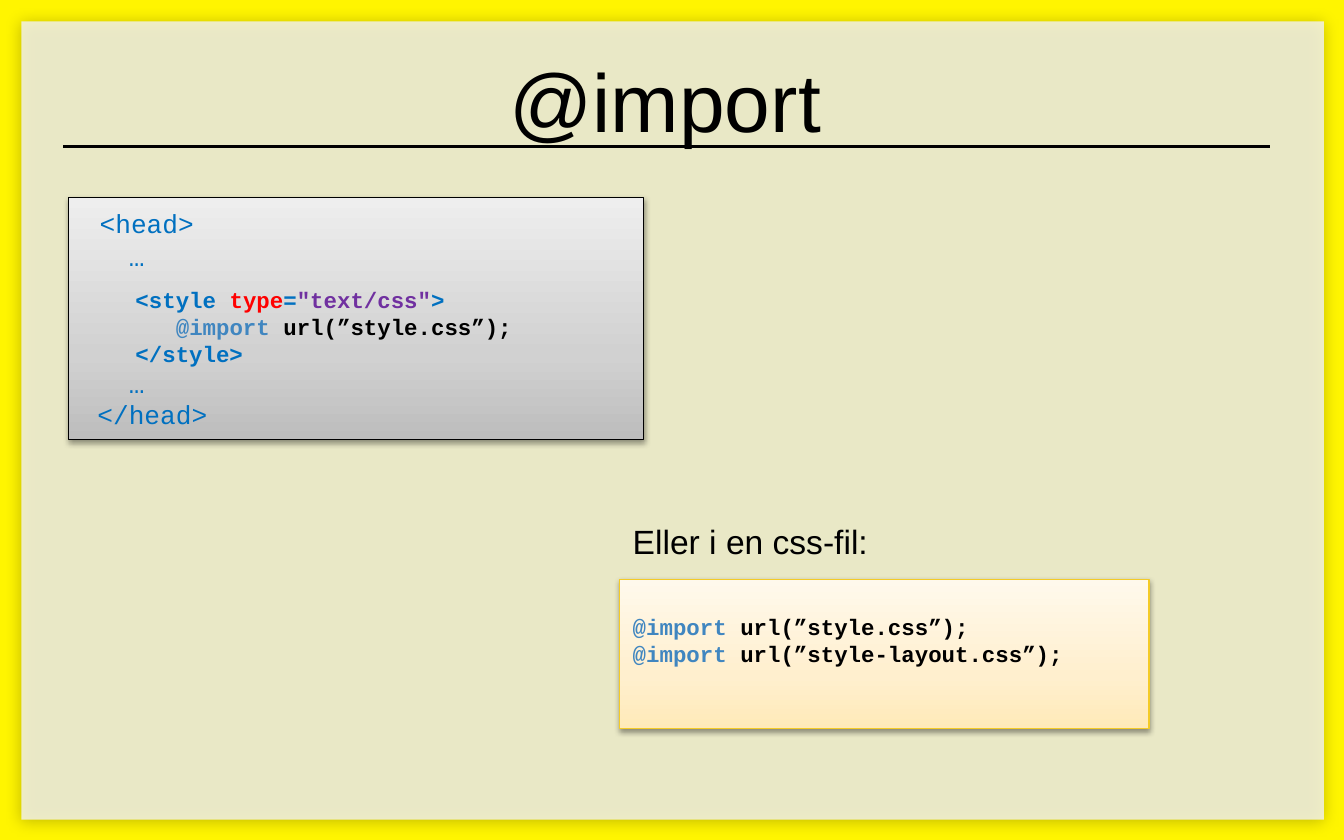
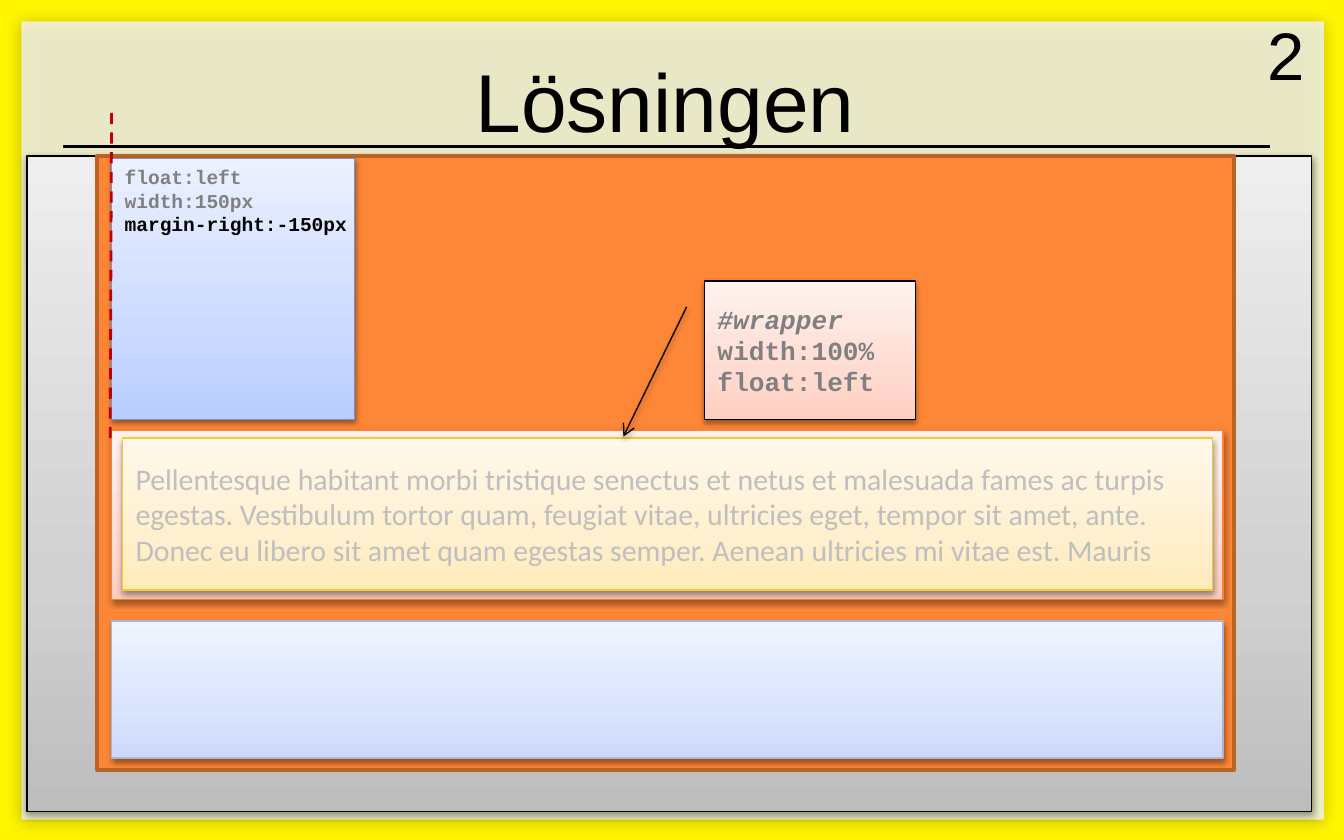
import copy
from dataclasses import dataclass
from typing import Optional

import pptx
import pptx.dml.color
import pptx.enum.dml
import pptx.enum.shapes
import pptx.enum.text
import pptx.oxml
import pptx.oxml.ns
import pptx.util
from lxml import etree
from pptx.oxml.ns import qn

COLUMNS, ROWS = 100, 62.5
WIDTH, HEIGHT = pptx.util.Inches(10), pptx.util.Inches(6.25)
PRESET = pptx.enum.shapes.MSO_SHAPE
ANCHOR = pptx.enum.text.MSO_ANCHOR
ALIGN = pptx.enum.text.PP_ALIGN

BLACK, GREY, PALE_GREY = "000000", "808080", "BFBFBF"
TAG, ATTRIBUTE, VALUE, KEYWORD = "0070C0", "FF0000", "7030A0", "4086C0"
CODE = "Courier New"

# Gradient colours run from the bottom edge to the top edge.
STOPS = (0, 0.35, 1)
SILVER = ("BDBDBD", "D1D1D1", "EEEEEE")
CREAM = ("FFEAB9", "FFEFCE", "FFF9EC")
PINK = ("FFCEBF", "FFDCD2", "FFF2EE")
BLUE = ("B8CCFF", "CCDAFF", "EBF1FF")
PALE_BLUE = ("CCD9FB", "DAE4FC", "F0F4FF")


@dataclass(frozen=True)
class Shadow:
    opacity: int
    blur: float
    distance: float


SOFT = Shadow(38, 3.1, 1.6)


@dataclass(frozen=True)
class Area:
    """Place and size in grid columns and rows."""
    left: float
    top: float
    width: float
    height: float

    def lengths(self) -> tuple:
        return (across(self.left), down(self.top), across(self.width), down(self.height))


@dataclass(frozen=True)
class Box:
    area: Area
    fill: str | tuple
    line: Optional[str] = None
    line_width: float = 0.75
    shadow: Optional[Shadow] = SOFT
    opacity: int = 100
    preset: PRESET = PRESET.RECTANGLE


@dataclass(frozen=True)
class Run:
    text: str
    color: Optional[str] = None
    size: Optional[float] = None
    bold: Optional[bool] = None
    italic: Optional[bool] = None


def across(columns: float) -> int:
    return round(WIDTH * columns / COLUMNS)


def down(rows: float) -> int:
    return round(HEIGHT * rows / ROWS)


def rgb(color: str) -> pptx.dml.color.RGBColor:
    return pptx.dml.color.RGBColor.from_string(color)


def add_child(parent, tag: str, **attributes):
    return etree.SubElement(parent, qn(tag), {key: str(value) for key, value in attributes.items()})


def write(shape, lines: list, *, size: float, color: str = BLACK, font: str = "Arial",
          bold: bool = False, align=ALIGN.LEFT, anchor=ANCHOR.TOP, wrap: bool = True,
          top_inset: float = 0.5, spaces_before: Optional[dict] = None) -> None:
    """Fill a shape with one paragraph per line; a line is a string or a list of runs."""
    frame = shape.text_frame
    frame.word_wrap, frame.vertical_anchor = wrap, anchor
    frame.auto_size = pptx.enum.text.MSO_AUTO_SIZE.NONE
    frame.margin_left = frame.margin_right = across(1)
    frame.margin_top, frame.margin_bottom = down(top_inset), down(0.5)
    for index, line in enumerate(lines):
        paragraph = frame.add_paragraph() if index else frame.paragraphs[0]
        paragraph.alignment = align
        if spaces_before and index in spaces_before:
            paragraph.space_before = pptx.util.Pt(spaces_before[index])
        for part in [Run(line)] if isinstance(line, str) else line:
            run = paragraph.add_run()
            run.text = part.text
            run.font.name = font
            run.font.size = pptx.util.Pt(part.size or size)
            run.font.bold = bold if part.bold is None else part.bold
            run.font.italic = part.italic
            run.font.color.rgb = rgb(part.color or color)


def paint_gradient(shape, colors: tuple) -> None:
    shape.fill.gradient()
    shape.fill.gradient_angle = 90
    stop_list = next(shape.element.iter(qn("a:gsLst")))
    stop_list.append(copy.deepcopy(stop_list[0]))
    for stop, position, color in zip(shape.fill.gradient_stops, STOPS, colors):
        stop.position = position
        stop.color.rgb = rgb(color)


def cast_shadow(shape, shadow: Shadow) -> None:
    effects = shape.element.spPr.find(qn("a:effectLst"))
    outer = add_child(effects, "a:outerShdw", blurRad=pptx.util.Pt(shadow.blur),
                      dist=pptx.util.Pt(shadow.distance), dir=90 * 60000, rotWithShape=0)
    add_child(add_child(outer, "a:srgbClr", val=BLACK), "a:alpha", val=shadow.opacity * 1000)


def add_box(slide, box: Box):
    shape = slide.shapes.add_shape(box.preset, *box.area.lengths())
    shape.shadow.inherit = False
    if isinstance(box.fill, tuple):
        paint_gradient(shape, box.fill)
    else:
        shape.fill.solid()
        shape.fill.fore_color.rgb = rgb(box.fill)
    if box.opacity < 100:
        color = shape.element.spPr.find(qn("a:solidFill"))[0]
        add_child(color, "a:alpha", val=box.opacity * 1000)
    if box.line:
        shape.line.color.rgb = rgb(box.line)
        shape.line.width = pptx.util.Pt(box.line_width)
    else:
        shape.line.fill.background()
    if box.shadow:
        cast_shadow(shape, box.shadow)
    return shape


def add_line(slide, start: tuple, end: tuple, color: str, dash=None):
    line = slide.shapes.add_connector(
        pptx.enum.shapes.MSO_CONNECTOR.STRAIGHT,
        across(start[0]), down(start[1]), across(end[0]), down(end[1]))
    line.line.color.rgb = rgb(color)
    line.line.width = pptx.util.Pt(1.5)
    if dash:
        line.line.dash_style = dash
    add_child(line.element.spPr, "a:effectLst")
    return line


def add_text(slide, area: Area, lines: list, **text_format) -> None:
    write(slide.shapes.add_textbox(*area.lengths()), lines, wrap=False, **text_format)


def add_titled_slide(presentation, title: str):
    slide = presentation.slides.add_slide(presentation.slide_layouts[5])
    shape = slide.shapes.title
    shape.left, shape.top, shape.width, shape.height = Area(7, 3.1, 85, 8.5).lengths()
    write(shape, [title], size=44, align=ALIGN.CENTER, anchor=ANCHOR.BOTTOM)
    return slide


def move_frame_to_layout(slide) -> None:
    """Give the slide's layout the yellow frame, the panel and the title rule."""
    layout = slide.slide_layout
    for placeholder in list(layout.placeholders)[1:]:
        placeholder.element.getparent().remove(placeholder.element)
    frame = [
        add_box(slide, Box(Area(0, 0, COLUMNS, ROWS), "FFF500", shadow=None)),
        add_box(slide, Box(Area(1.6, 1.6, 96.9, 59.4), "F2F2F2",
                           shadow=Shadow(28, 8, 1), opacity=82)),
        add_line(slide, (4.7, 10.9), (94.5, 10.9), BLACK),
    ]
    for index, shape in enumerate(frame, start=2):
        layout.shapes.element.insert(index, shape.element)


def build_import_slide(presentation) -> None:
    slide = add_titled_slide(presentation, "@import")
    move_frame_to_layout(slide)

    head = add_box(slide, Box(Area(5.1, 14.7, 42.8, 18), SILVER, BLACK))
    small = dict(size=12, bold=True)
    write(head, [
        [Run(" ", size=16), Run("<head>")],
        "   …",
        [Run("    <style ", **small), Run("type", ATTRIBUTE, **small), Run("=", **small),
         Run('"text/css"', VALUE, **small), Run(">", **small)],
        [Run("       ", **small), Run("@import ", KEYWORD, **small),
         Run("url(”style.css”);", BLACK, **small)],
        [Run("    </style>", **small)],
        "   …",
        " </head>",
    ], size=14, color=TAG, font=CODE, spaces_before={2: 8})

    css_file = add_box(slide, Box(Area(46.1, 43.1, 39.4, 11.1), CREAM, "F4CB27"))
    write(css_file, [[Run("@import ", KEYWORD), Run(f"url(”{name}.css”);")]
                     for name in ("style", "style-layout")],
          size=12, font=CODE, bold=True, top_inset=2.5)
    add_text(slide, Area(46.1, 38.3, 19.7, 4), ["Eller i en css-fil:"], size=18)


def build_solution_slide(presentation) -> None:
    slide = add_titled_slide(presentation, "Lösningen")
    add_text(slide, Area(93.3, 0.5, 4.3, 7.1), ["2"], size=36)

    left, width = 8.3, 82.7
    add_box(slide, Box(Area(2, 11.6, 95.6, 48.8), SILVER, BLACK))
    add_box(slide, Box(Area(7.2, 11.6, 84.6, 45.7), "FE8637", "BC6329", 2, shadow=None))
    add_box(slide, Box(Area(left, 46.2, width, 10.2), PALE_BLUE, "A9B6D1"))
    add_box(slide, Box(Area(left, 11.8, 18.1, 19.4), BLUE, "7094D7"))
    add_text(slide, Area(left, 11.8, 18.7, 6.3),
             ["float:left", "width:150px", [Run("margin-right:-150px", BLACK)]],
             size=10.5, color=GREY, font=CODE, bold=True)

    add_box(slide, Box(Area(left, 32, width, 12.6), PINK, "FD8231"))
    content = add_box(slide, Box(Area(9.1, 32.6, 81.1, 11.3), CREAM, "F4CB27"))
    write(content, [
        "Pellentesque habitant morbi tristique senectus et netus et malesuada fames ac turpis "
        "egestas. Vestibulum tortor quam, feugiat vitae, ultricies eget, tempor sit amet, ante. "
        "Donec eu libero sit amet quam egestas semper. Aenean ultricies mi vitae est. Mauris"
    ], size=16, color=PALE_GREY, font="Calibri", anchor=ANCHOR.MIDDLE)
    add_line(slide, (left, 8.4), (8.2, 32.8), "C00000", pptx.enum.dml.MSO_LINE.DASH)

    wrapper = add_box(slide, Box(Area(52.4, 20.9, 15.7, 10.3), PINK, BLACK,
                                 preset=PRESET.LINE_CALLOUT_1))
    add_child(wrapper.element.spPr.find(qn("a:ln")), "a:tailEnd", type="arrow")
    write(wrapper, [[Run("#wrapper", italic=True)], "width:100%", "float:left"],
          size=14, color=GREY, font=CODE, bold=True, anchor=ANCHOR.MIDDLE)


def main() -> None:
    presentation = pptx.Presentation()
    presentation.slide_width, presentation.slide_height = WIDTH, HEIGHT
    build_import_slide(presentation)
    build_solution_slide(presentation)
    presentation.save("out.pptx")


if __name__ == "__main__":
    main()
